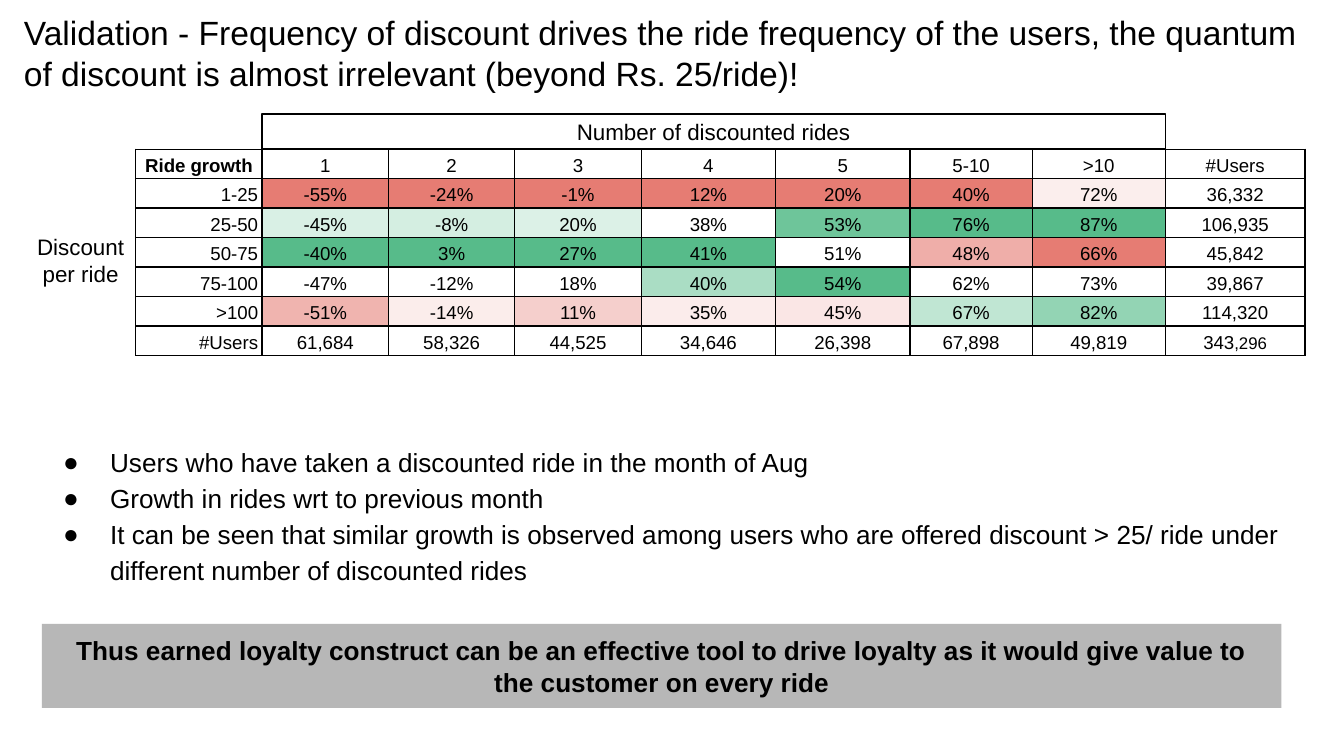
from typing import NamedTuple

from lxml import etree
from pptx import Presentation
from pptx.dml.color import RGBColor
from pptx.enum.shapes import MSO_SHAPE
from pptx.enum.text import MSO_ANCHOR, MSO_AUTO_SIZE, PP_ALIGN
from pptx.oxml.ns import qn
from pptx.util import Pt

LEFT, MID, RIGHT = PP_ALIGN.LEFT, PP_ALIGN.CENTER, PP_ALIGN.RIGHT
TOP, CENTER, BOTTOM = MSO_ANCHOR.TOP, MSO_ANCHOR.MIDDLE, MSO_ANCHOR.BOTTOM
RECT, FIXED = MSO_SHAPE.RECTANGLE, MSO_AUTO_SIZE.NONE
BLACK, GREY, WHITE = "000000", "B7B7B7", "FFFFFF"
RED, GREEN = "E67C73", "57BB8A"


class Box(NamedTuple):
    x: float
    y: float
    w: float
    h: float


class Row(NamedTuple):
    label: str
    rates: list[str]
    users: str
    fills: list[str]


# Table content
HEAD = ["Ride growth", "1", "2", "3", "4", "5", "5-10", ">10", "#Users"]
ROWS = [
    Row("1-25", ["-55%", "-24%", "-1%", "12%", "20%", "40%", "72%"], "36,332",
        [RED] * 6 + ["FBEEED"]),
    Row("25-50", ["-45%", "-8%", "20%", "38%", "53%", "76%", "87%"], "106,935",
        ["D9F0E5", "D4EEE1", "DCF1E7", WHITE, "6EC59A", GREEN, GREEN]),
    Row("50-75", ["-40%", "3%", "27%", "41%", "51%", "48%", "66%"], "45,842",
        [GREEN] * 4 + [WHITE, "EFAEA9", RED]),
    Row("75-100", ["-47%", "-12%", "18%", "40%", "54%", "62%", "73%"], "39,867",
        [WHITE] * 3 + ["AADDC4", GREEN, WHITE, WHITE]),
    Row(">100", ["-51%", "-14%", "11%", "35%", "45%", "67%", "82%"], "114,320",
        ["F0B4AF", "FBEDEB", "F5CFCC", "FBECEB", "FAE6E5", "C0E6D3", "93D4B4"]),
]
TOTALS = ["#Users", "61,684", "58,326", "44,525", "34,646", "26,398",
          "67,898", "49,819", "343"]
COLS = [67.7] * 4 + [72, 72, 65.5, 71.3, 74.9]
GRID = Box(72.7, 79.9, sum(COLS), 7 * 15.8)

BULLETS = [
    "Users who have taken a discounted ride in the month of Aug",
    "Growth in rides wrt to previous month",
    "It can be seen that similar growth is observed among users who are "
    "offered discount > 25/ ride under different number of discounted rides",
]


def color(code: str) -> RGBColor:
    return RGBColor.from_string(code)


def style(para, size: float, align=LEFT, bold: bool = False) -> None:
    para.alignment = align
    font = para.font
    font.name, font.size, font.bold = "Arial", Pt(size), bold
    font.color.rgb = color(BLACK)


def place(shape, box: Box) -> None:
    shape.left, shape.top, shape.width, shape.height = map(Pt, box)


def write(shape, text: str, size: float, align=MID, anchor=CENTER,
          bold: bool = False) -> None:
    frame = shape.text_frame
    frame.text = text
    frame.word_wrap, frame.auto_size = True, FIXED
    frame.vertical_anchor = anchor
    frame.margin_left = frame.margin_right = Pt(7.2)
    frame.margin_top = frame.margin_bottom = Pt(7.2)
    for para in frame.paragraphs:
        style(para, size, align, bold)


def panel(slide, box: Box, fill: str = "", line: str = ""):
    shape = slide.shapes.add_shape(RECT, *map(Pt, box))
    shape.shadow.inherit = False
    if fill:
        shape.fill.solid()
        shape.fill.fore_color.rgb = color(fill)
    else:
        shape.fill.background()
    if line:
        shape.line.color.rgb = color(line)
        shape.line.width = Pt(0.75)
    else:
        shape.line.fill.background()
    return shape


def border(cell) -> None:
    props = cell._tc.get_or_add_tcPr()
    for spot, side in enumerate(("lnL", "lnR", "lnT", "lnB")):
        edge = etree.Element(qn(f"a:{side}"), w=str(Pt(0.75)))
        paint = etree.SubElement(edge, qn("a:solidFill"))
        etree.SubElement(paint, qn("a:srgbClr"), val=BLACK)
        props.insert(spot, edge)


def fill_cell(cell, text: str, align, fill: str = "", bold: bool = False) -> None:
    cell.text = text
    cell.vertical_anchor = BOTTOM
    cell.margin_left = cell.margin_right = Pt(2.2)
    cell.margin_top = cell.margin_bottom = Pt(1.25)
    para = cell.text_frame.paragraphs[0]
    para.line_spacing = 1.15
    style(para, 10, align, bold)
    if fill:
        cell.fill.solid()
        cell.fill.fore_color.rgb = color(fill)
    else:
        cell.fill.background()
    border(cell)


def draw_table(slide) -> None:
    lines = [HEAD] + [[r.label, *r.rates, r.users] for r in ROWS] + [TOTALS]
    fills = [[""] * 9] + [["", *r.fills, ""] for r in ROWS] + [[""] * 9]
    table = slide.shapes.add_table(len(lines), len(COLS), *map(Pt, GRID)).table
    table.first_row = table.horz_banding = False
    for col, width in zip(table.columns, COLS):
        col.width = Pt(width)
    for i, line in enumerate(lines):
        table.rows[i].height = Pt(GRID.h / len(lines))
        for j, text in enumerate(line):
            align = RIGHT if i and not j else MID
            fill_cell(table.cell(i, j), text, align, fills[i][j], i == j == 0)
    # The grand total ends in smaller digits
    tail = table.cell(6, 8).text_frame.paragraphs[0].add_run()
    tail.text = ",296"
    tail.font.size = Pt(9)


def draw_list(body) -> None:
    place(body, Box(15.8, 226.1, 683.3, 98.6))
    body.text_frame.text = "\n".join(BULLETS)
    for para in body.text_frame.paragraphs:
        props = para._p.get_or_add_pPr()
        props.set("marL", str(Pt(36)))
        props.set("indent", str(Pt(-25.2)))
        etree.SubElement(props, qn("a:buChar"), char="●")
        para.line_spacing, para.space_before = 1.15, Pt(0)
        style(para, 14)
    frame = body.text_frame
    frame.word_wrap, frame.auto_size = True, FIXED
    frame.vertical_anchor = CENTER
    frame.margin_left = frame.margin_right = Pt(7.2)
    frame.margin_top = frame.margin_bottom = Pt(7.2)


def main() -> None:
    deck = Presentation()
    deck.slide_width, deck.slide_height = Pt(720), Pt(405)
    slide = deck.slides.add_slide(deck.slide_layouts[1])

    # Title
    title = slide.shapes.title
    place(title, Box(5.6, -0.6, 705.6, 54.7))
    write(title, "Validation - Frequency of discount drives the ride frequency "
          "of the users, the quantum of discount is almost irrelevant "
          "(beyond Rs. 25/ride)!", 18, LEFT, TOP)

    # Conclusion
    banner = panel(slide, Box(22.5, 334.3, 664, 45), fill=GREY)
    write(banner, "Thus earned loyalty construct can be an effective tool to "
          "drive loyalty as it would give value to the customer on every ride",
          14, bold=True)

    # Axis labels of the table
    across = panel(slide, Box(GRID.x + COLS[0], 61.2, sum(COLS[1:8]), 18.7),
                   line=BLACK)
    write(across, "Number of discounted rides", 12)
    down = slide.shapes.add_textbox(*map(Pt, Box(6.5, 104.4, 73.4, 69.8)))
    write(down, "Discount per ride", 12)

    # Remarks and table
    draw_list(slide.placeholders[1])
    draw_table(slide)
    deck.save("out.pptx")


if __name__ == "__main__":
    main()
